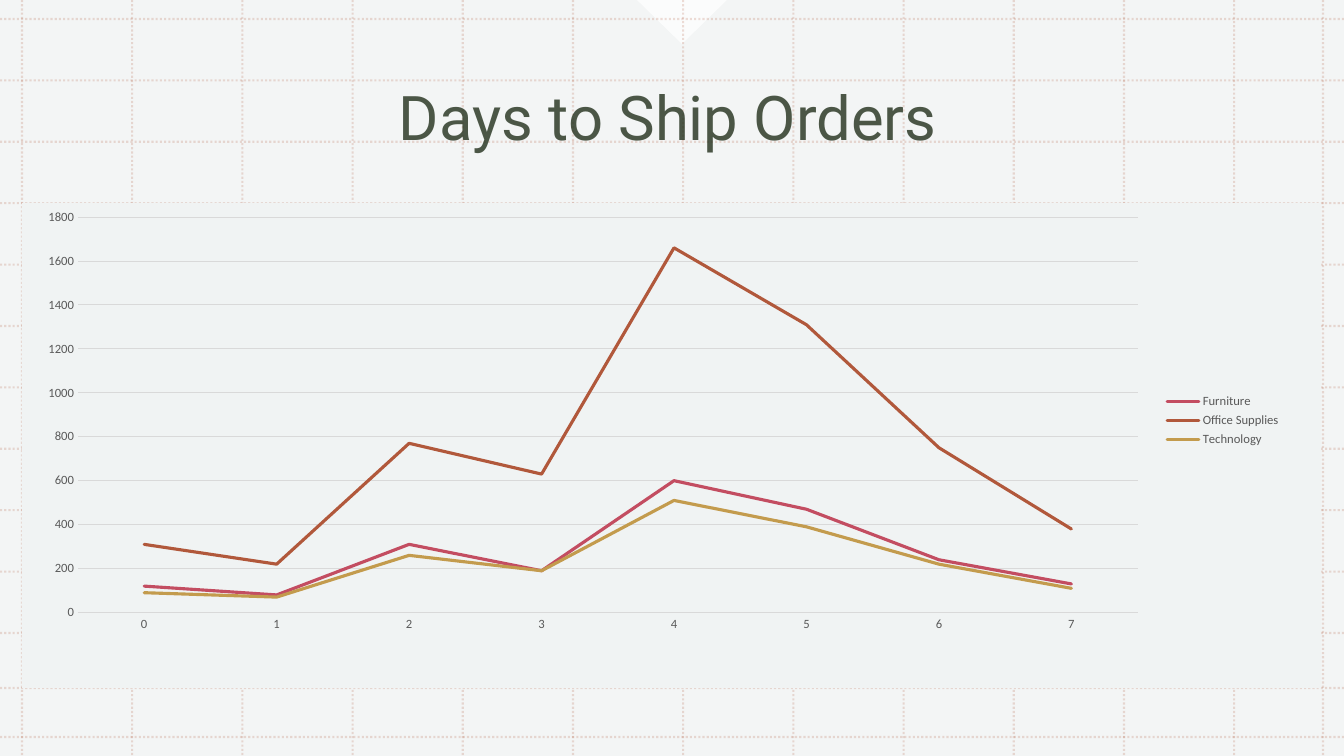
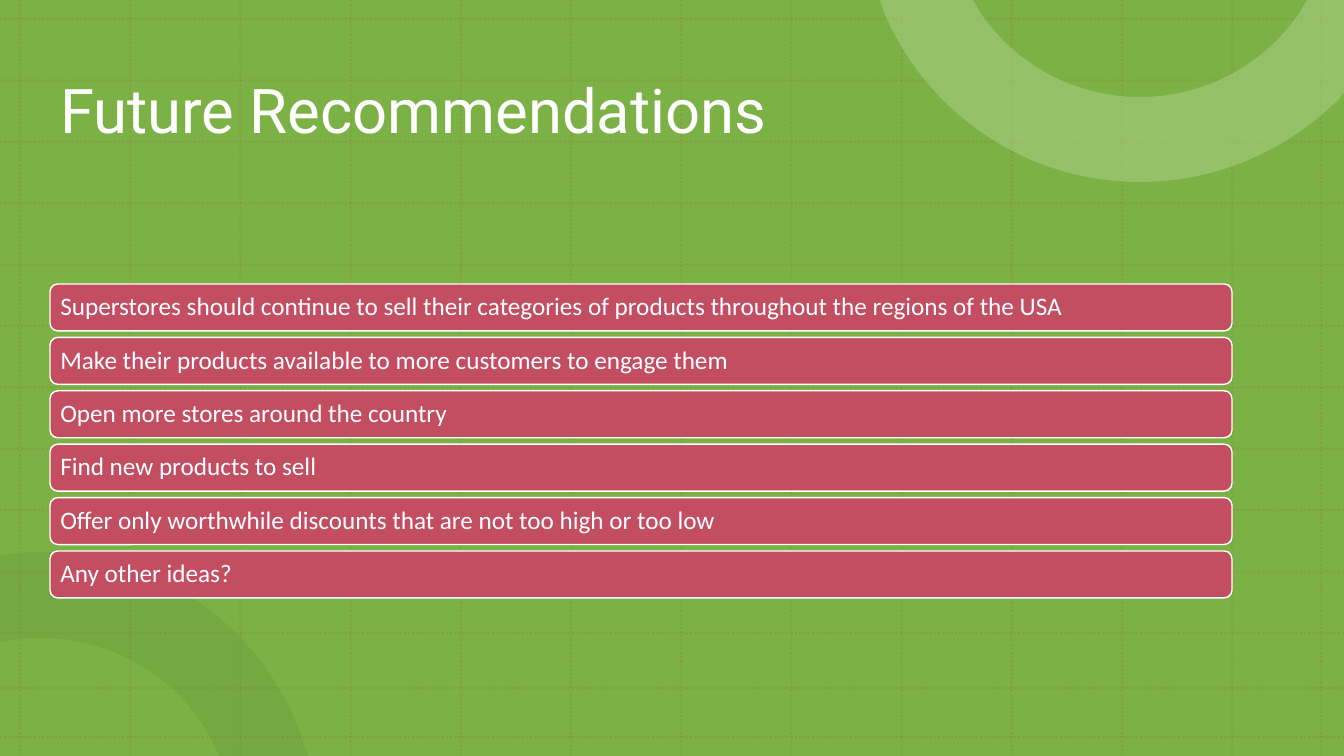
from lxml import etree
from pptx import Presentation
from pptx import util as u
from pptx.chart.data import CategoryChartData
from pptx.dml.color import RGBColor
from pptx.enum import chart as ch, dml, shapes, text
from pptx.oxml.ns import qn

WIDE, HIGH = 1344, 756
SCALE = 12192000 / WIDE
FULL = (0, 0, WIDE, HIGH)
WHITE, GREEN, MIST = "FFFFFF", "7BB145", "F0F3F3"
RED, RUST, GOLD = "C34D61", "B1583B", "C39B4D"
DARK, GRAY, RULE = "212F1B", "595959", "D9D9D9"
HEAD, BODY = "Roboto", "Calibri"
KIND = shapes.MSO_SHAPE

DAYS = ["0", "1", "2", "3", "4", "5", "6", "7"]
SALES = [
    ("Furniture", RED, [120, 80, 310, 190, 600, 470, 240, 130]),
    ("Office Supplies", RUST, [310, 220, 770, 630, 1660, 1310, 750, 380]),
    ("Technology", GOLD, [90, 70, 260, 190, 510, 390, 220, 110]),
]
IDEAS = [
    "Superstores should continue to sell their categories of products throughout the regions of the USA",
    "Make their products available to more customers to engage them",
    "Open more stores around the country",
    "Find new products to sell",
    "Offer only worthwhile discounts that are not too high or too low",
    "Any other ideas?",
]
RINGS = [
    ("5C8534", 20, [
        (40, 552), (165, 552, 271, 635, 305, 748), (308, 756), (219, 756), (219, 755),
        (190, 686, 121, 638, 40, 638), (27, 638, 14, 639, 2, 642), (0, 642),
        (0, 556), (12, 554), (21, 553, 31, 552, 40, 552)]),
    ("B0D38D", 50, [
        (880, 0), (973, 0), (980, 12), (1015, 64, 1074, 97, 1140, 97),
        (1206, 97, 1265, 64, 1300, 12), (1307, 0), (1344, 0), (1344, 93), (1337, 101),
        (1286, 151, 1216, 182, 1140, 182), (1025, 182, 926, 112, 884, 12)]),
]


def px(n):
    return round(n * SCALE)


def box(*sides):
    return [px(n) for n in sides]


def hue(code):
    return RGBColor.from_string(code)


def fade(part, tints):
    for tint in tints:
        etree.SubElement(tint, qn("a:alpha"), val=str(part * 1000))


def paint(shape, fill, edge=None, part=100):
    shape.shadow.inherit = False
    shape.fill.solid()
    shape.fill.fore_color.rgb = hue(fill)
    if edge:
        shape.line.color.rgb = hue(edge)
        shape.line.width = u.Pt(1)
    else:
        shape.line.fill.background()
    if part < 100:
        fade(part, shape._element.xpath("./p:spPr//a:srgbClr"))
    return shape


def block(slide, kind, sides, fill, **look):
    return paint(slide.shapes.add_shape(kind, *box(*sides)), fill, **look)


def write(shape, words, size=18, font=BODY, color=WHITE, align="LEFT", pad=10, part=100):
    frame = shape.text_frame
    frame.word_wrap = True
    frame.vertical_anchor = text.MSO_ANCHOR.MIDDLE
    frame.margin_left = frame.margin_right = px(pad)
    frame.margin_top = frame.margin_bottom = px(5)
    para = frame.paragraphs[0]
    para.alignment = getattr(text.PP_ALIGN, align)
    para.line_spacing = 0.9
    run = para.add_run()
    run.text = words
    style(run.font, size, color, font)
    if part < 100:
        fade(part, run._r.xpath(".//a:srgbClr"))


def style(font, size, color, name=BODY):
    font.name, font.size = name, u.Pt(size)
    font.color.rgb = hue(color)


def title(slide, words, sides, **look):
    write(slide.shapes.add_textbox(*box(*sides)), words, size=44, font=HEAD, **look)


def grid(slide, left):
    cols = [left + 110.2 * i for i in range(12)] + [left + 1301]
    rows = [19 + 61.4 * i for i in range(11)] + [688, 737]
    ends = [(x, 0, x, HIGH) for x in cols] + [(0, y, WIDE, y) for y in rows]
    for end in ends:
        line = slide.shapes.add_connector(shapes.MSO_CONNECTOR.STRAIGHT, *box(*end))
        line.line.color.rgb = hue(RUST)
        line.line.width = u.Pt(1.5)
        line.line.dash_style = dml.MSO_LINE.ROUND_DOT
        fade(20, line._element.xpath("./p:spPr//a:srgbClr"))
        etree.SubElement(line._element.spPr, qn("a:effectLst"))


def ring(slide, fill, part, steps):
    dots = [step[i:i + 2] for step in steps for i in range(0, len(step), 2)]
    form = slide.shapes.build_freeform(*dots[0], scale=SCALE)
    form.add_line_segments(dots[1:], close=True)
    shape = paint(form.convert_to_shape(), fill, part=part)
    nodes = iter(shape._element.xpath(".//a:lnTo"))
    for step in steps[1:]:
        group = [next(nodes) for _ in range(len(step) // 2)]
        if len(group) == 3:
            curve = etree.Element(qn("a:cubicBezTo"))
            group[0].addprevious(curve)
            for node in group:
                curve.append(node[0])
                node.getparent().remove(node)


def theme(slide):
    block(slide, KIND.RECTANGLE, FULL, GREEN)
    grid(slide, 20)
    for item in RINGS:
        ring(slide, *item)
    tree = slide.slide_layout.shapes._spTree
    for shape in list(slide.shapes):
        tree.append(shape._element)


def plot(slide, sides):
    data = CategoryChartData()
    data.categories = DAYS
    for name, _, vals in SALES:
        data.add_series(name, vals)
    chart = slide.shapes.add_chart(ch.XL_CHART_TYPE.LINE, *box(*sides), data).chart
    chart.has_title = False
    style(chart.font, 10, "000000")
    chart.has_legend = True
    chart.legend.position = ch.XL_LEGEND_POSITION.RIGHT
    chart.legend.include_in_layout = False
    style(chart.legend.font, 9, GRAY)
    days, count = chart.category_axis, chart.value_axis
    for axis in (days, count):
        axis.major_tick_mark = axis.minor_tick_mark = ch.XL_TICK_MARK.NONE
        style(axis.tick_labels.font, 9, GRAY)
    count.minimum_scale, count.maximum_scale, count.major_unit = 0, 1800, 200
    count.format.line.fill.background()
    for line in (days.format.line, count.major_gridlines.format.line):
        line.color.rgb = hue(RULE)
        line.width = u.Pt(0.75)
    chart.plots[0].vary_by_categories = False
    for row, (_, color, _) in zip(chart.plots[0].series, SALES):
        row.smooth = False
        row.format.line.color.rgb = hue(color)
        row.format.line.width = u.Pt(2.25)
        for line in row._element.xpath("./c:spPr/a:ln"):
            line.set("cap", "rnd")


def ship(slide):
    block(slide, KIND.RECTANGLE, FULL, WHITE)
    block(slide, KIND.RECTANGLE, FULL, MIST, part=80)
    block(slide, KIND.FLOWCHART_MERGE, (637, 0, 90, 44), WHITE, part=75)
    grid(slide, 22)
    block(slide, KIND.RECTANGLE, (22, 203, 1299, 485), MIST)
    title(slide, "Days to Ship Orders", (34, 38, 1268, 165),
          color=DARK, align="CENTER", part=80)
    plot(slide, (23, 201, 1268, 439))


def advise(slide):
    title(slide, "Future Recommendations", (50, 41, 1182, 146))
    top, last = 284, 551
    step = (last - top) / (len(IDEAS) - 1)
    for i, idea in enumerate(IDEAS):
        bar = block(slide, KIND.ROUNDED_RECTANGLE,
                    (50, top + i * step, 1182, 47), RED, edge=WHITE)
        write(bar, idea, pad=8)


def main():
    deck = Presentation()
    deck.slide_width, deck.slide_height = box(WIDE, HIGH)
    first, second = [deck.slides.add_slide(deck.slide_layouts[6]) for _ in range(2)]
    theme(first)
    ship(first)
    advise(second)
    deck.save("out.pptx")


if __name__ == "__main__":
    main()
